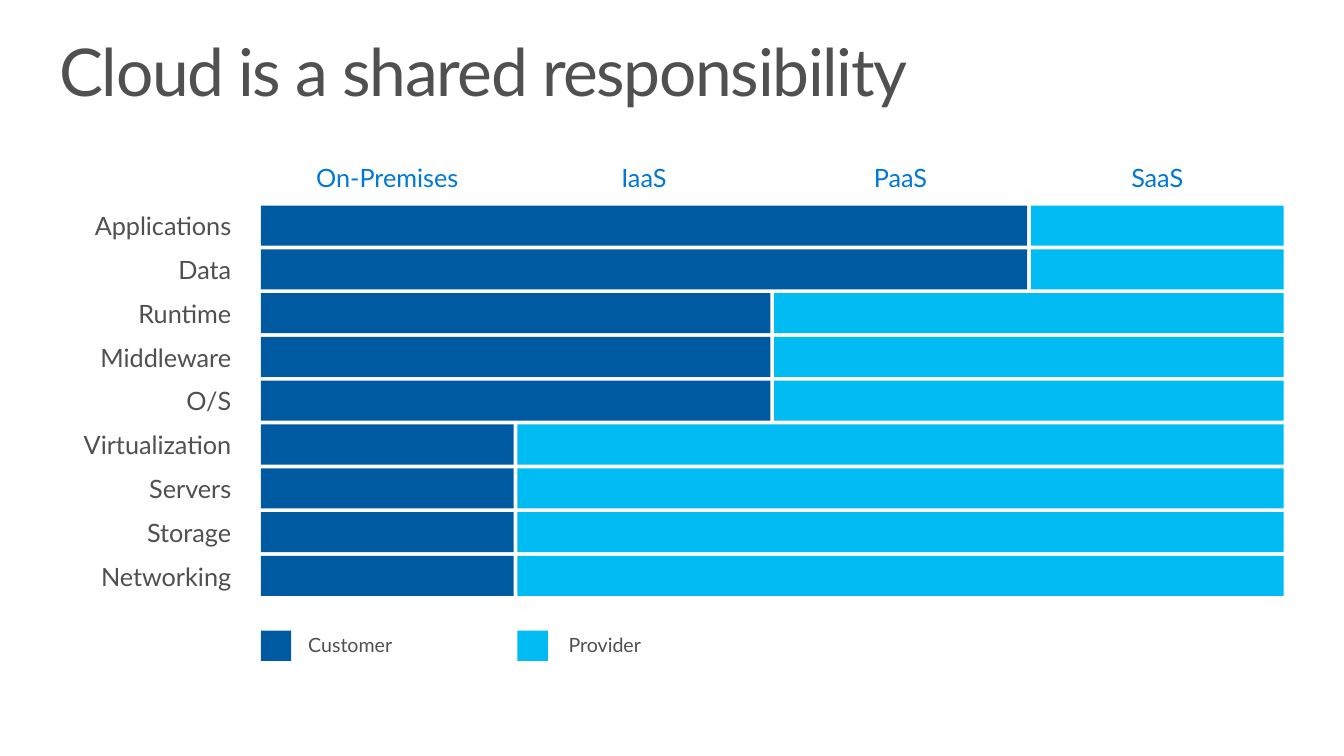
from pptx import Presentation
from pptx.dml.color import RGBColor
from pptx.enum.shapes import MSO_SHAPE
from pptx.enum.text import MSO_ANCHOR, MSO_AUTO_SIZE, PP_ALIGN
from pptx.util import Pt

RECT = MSO_SHAPE.RECTANGLE
TOP, MIDDLE = MSO_ANCHOR.TOP, MSO_ANCHOR.MIDDLE
LEFT, CENTER, RIGHT = PP_ALIGN.LEFT, PP_ALIGN.CENTER, PP_ALIGN.RIGHT
NO_FIT = MSO_AUTO_SIZE.NONE

TITLE = "Cloud is a shared responsibility"
MODELS = ["On-Premises", "IaaS", "PaaS", "SaaS"]
LAYERS = [
    ("Applications", 3),
    ("Data", 3),
    ("Runtime", 2),
    ("Middleware", 2),
    ("O/S", 2),
    ("Virtualization", 1),
    ("Servers", 1),
    ("Storage", 1),
    ("Networking", 1),
]
LEGEND = [("Customer", "customer", 27.5), ("Provider", "provider", 30.2)]

COLORS = {
    "customer": "005AA1",
    "provider": "00BCF2",
    "heading": "0078D7",
    "text": "505050",
}
FONT = "Lato"

GRID_X, GRID_Y = 190, 149.8
COL_W, COL_PITCH = 184.3, 187
ROW_H, ROW_PITCH = 29.2, 31.9
HEAD_Y, HEAD_H = 111.6, 35.3
LABEL_W = 168.5
LEGEND_Y, SWATCH = 459.4, 22.2


def rgb(name):
    return RGBColor.from_string(COLORS[name])


def write(sp, text, size=18.4, color="text", align=LEFT, anchor=MIDDLE,
          margins=(0, 0, 0, 0), wrap=True):
    tf = sp.text_frame
    tf.auto_size = NO_FIT
    tf.word_wrap = wrap
    tf.vertical_anchor = anchor
    tf.margin_left, tf.margin_top, tf.margin_right, tf.margin_bottom = map(Pt, margins)
    p = tf.paragraphs[0]
    p.alignment = align
    r = p.add_run()
    r.text = text
    r.font.name = FONT
    r.font.size = Pt(size)
    r.font.color.rgb = rgb(color)
    return p


def add_text(x, y, w, h, text, **fmt):
    sp = slide.shapes.add_textbox(Pt(x), Pt(y), Pt(w), Pt(h))
    return write(sp, text, **fmt)


def add_block(x, y, w, h, color):
    sp = slide.shapes.add_shape(RECT, Pt(x), Pt(y), Pt(w), Pt(h))
    sp.shadow.inherit = False
    sp.fill.solid()
    sp.fill.fore_color.rgb = rgb(color)
    sp.line.fill.background()


def col_x(col):
    return GRID_X + col * COL_PITCH


def span_w(cols):
    return (cols - 1) * COL_PITCH + COL_W


prs = Presentation()
prs.slide_width, prs.slide_height = Pt(979.2), Pt(550.8)
slide = prs.slides.add_slide(prs.slide_layouts[5])

title = slide.shapes.title
title.left, title.top, title.width, title.height = Pt(31.7), Pt(21.6), Pt(890), Pt(77.8)
p = write(title, TITLE, size=48, anchor=TOP, margins=(11.5, 7.2, 11.5, 7.2))
p.line_spacing = 0.9
p.runs[0].font._element.set("spc", "-100")

for col, model in enumerate(MODELS):
    add_text(col_x(col), HEAD_Y, COL_W, HEAD_H, model, color="heading", align=CENTER)

for row, (layer, own) in enumerate(LAYERS):
    y = GRID_Y + row * ROW_PITCH
    add_text(0, y, LABEL_W, ROW_H, layer, align=RIGHT)
    add_block(GRID_X, y, span_w(own), ROW_H, "customer")
    add_block(col_x(own), y, span_w(len(MODELS) - own), ROW_H, "provider")

for col, (party, color, offset) in enumerate(LEGEND):
    x = col_x(col)
    add_block(x, LEGEND_Y, SWATCH, SWATCH, color)
    add_text(x + offset, LEGEND_Y - 1.5, 78, 25.2, party, size=14.3, anchor=TOP,
             margins=(7.2, 3.6, 7.2, 3.6), wrap=False)

prs.save("out.pptx")
